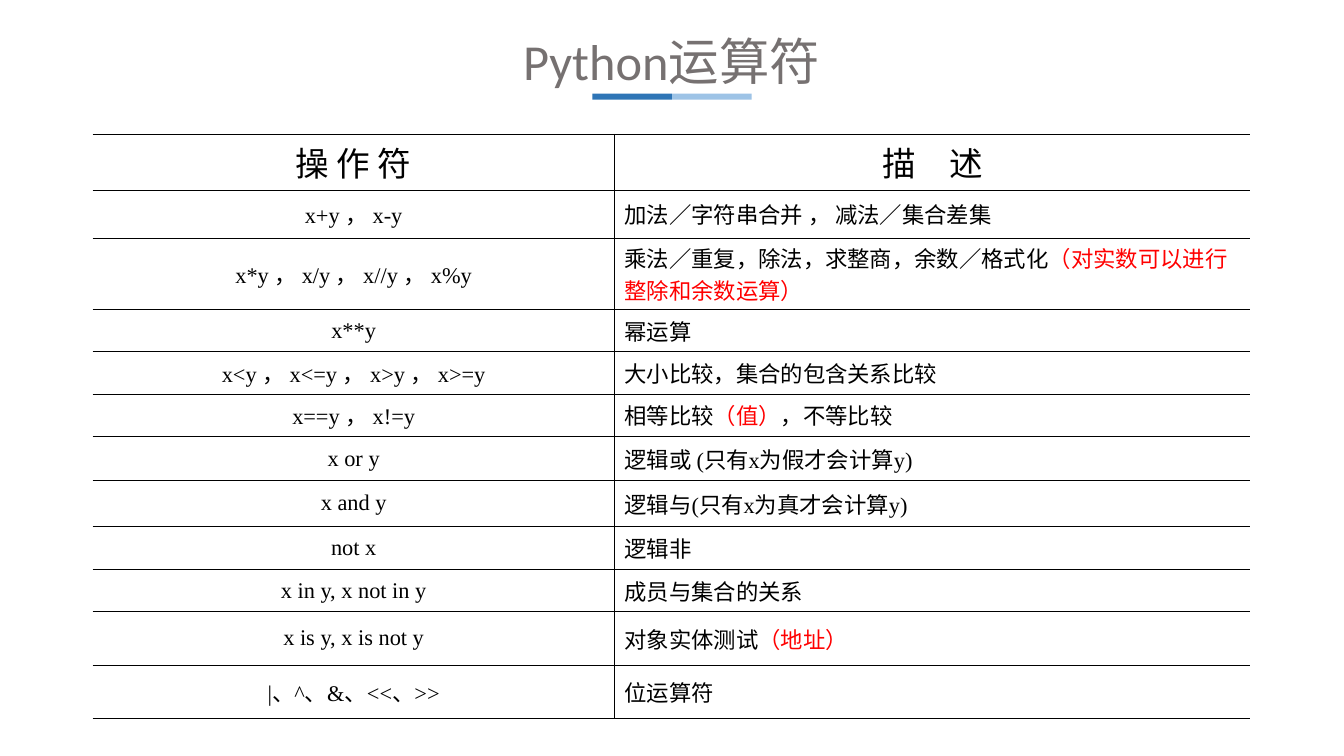
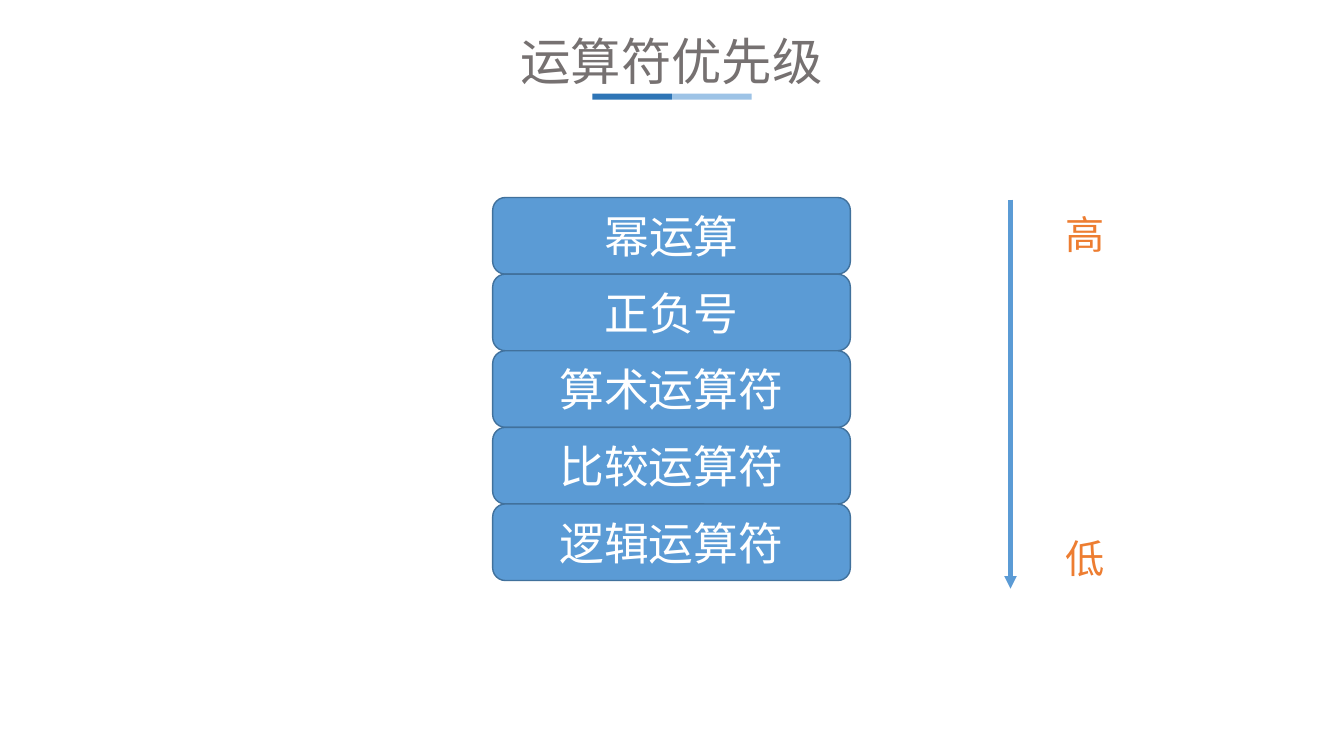
import pptx
import pptx.dml.color
import pptx.enum.shapes
import pptx.enum.text
import pptx.oxml
import pptx.oxml.ns
import pptx.util

Inches = pptx.util.Inches
Pt = pptx.util.Pt
SHAPE = pptx.enum.shapes.MSO_SHAPE
ANCHOR = pptx.enum.text.MSO_ANCHOR
ALIGN = pptx.enum.text.PP_ALIGN

COLORS = {
    "title": "767171", "bar_dark": "2E75B6", "bar_light": "9DC3E6",
    "black": "000000", "red": "FF0000", "white": "FFFFFF",
    "block": "5B9BD5", "outline": "41719C", "orange": "ED7D31",
}
SERIF, SANS, CJK = "Times New Roman", "Calibri", "Noto Sans CJK SC"

HEADERS = ["操 作 符", "描　述"]
# Row height, operators, description runs with their colours
OPERATORS = [
    (0.47, ["x+y", "x-y"], [("加法／字符串合并 ， 减法／集合差集", "black")]),
    (0.71, ["x*y", "x/y", "x//y", "x%y"],
     [("乘法／重复，除法，求整商，余数／格式化", "black"),
      ("（对实数可以进行整除和余数运算）", "red")]),
    (0.42, ["x**y"], [("幂运算", "black")]),
    (0.42, ["x<y", "x<=y", "x>y", "x>=y"],
     [("大小比较，集合的包含关系比较", "black")]),
    (0.42, ["x==y", "x!=y"],
     [("相等比较", "black"), ("（值）", "red"), ("，不等比较", "black")]),
    (0.44, ["x or y"], [("逻辑或 (只有x为假才会计算y)", "black")]),
    (0.45, ["x and y"], [("逻辑与(只有x为真才会计算y)", "black")]),
    (0.43, ["not x"], [("逻辑非", "black")]),
    (0.42, ["x in y, x not in y"], [("成员与集合的关系", "black")]),
    (0.53, ["x is y, x is not y"],
     [("对象实体测试", "black"), ("（地址）", "red")]),
    (0.53, ["|、^、&、<<、>>"], [("位运算符", "black")]),
]
HEADER_HEIGHT = 0.56
COLUMN_WIDTHS = [5.18, 6.31]

PRIORITIES = ["幂运算", "正负号", "算术运算符", "比较运算符", "逻辑运算符"]
SCALE_LABELS = [("高", 2.04), ("低", 5.25)]


def rgb(color):
    return pptx.dml.color.RGBColor.from_string(COLORS[color])


def add_xml(parent, tag, **attributes):
    child = pptx.oxml.parse_xml(f"<{tag} {pptx.oxml.ns.nsdecls('a')}/>")
    for name, value in attributes.items():
        child.set(name, str(value))
    parent.append(child)
    return child


def add_run(para, text, size, color, font):
    span = para.add_run()
    span.text = text
    span.font.size = Pt(size)
    span.font.name = font
    span.font.color.rgb = rgb(color)
    add_xml(span.font._element, "a:ea", typeface=CJK)


def add_block(shapes, kind, left, top, width, height, fill, outline=None):
    block = shapes.add_shape(kind, Inches(left), Inches(top),
                             Inches(width), Inches(height))
    block.shadow.inherit = False
    block.fill.solid()
    block.fill.fore_color.rgb = rgb(fill)
    if outline:
        block.line.color.rgb = rgb(outline)
        block.line.width = Pt(1)
    else:
        block.line.fill.background()
    return block


def add_titled_page(deck, text):
    """Add a slide with the centred title and its two-tone underline."""
    page = deck.slides.add_slide(deck.slide_layouts[5])
    title = page.shapes.title
    title.left, title.top = Inches(3.81), Inches(0)
    title.width, title.height = Inches(5.71), Inches(1)
    frame = title.text_frame
    frame.auto_size = pptx.enum.text.MSO_AUTO_SIZE.NONE
    frame.vertical_anchor = ANCHOR.BOTTOM
    frame.margin_bottom = Inches(0.1)
    para = frame.paragraphs[0]
    para.alignment = ALIGN.CENTER
    add_run(para, text, 36, "title", SANS)
    underline = page.shapes.add_group_shape()
    for index, color in enumerate(["bar_dark", "bar_light"]):
        add_block(underline.shapes, SHAPE.RECTANGLE,
                  5.88 + index * 0.79, 0.93, 0.79, 0.06, color)
    return page


def set_border(cell, side, points):
    line = add_xml(cell._tc.get_or_add_tcPr(), f"a:ln{side}",
                   w=int(Pt(points)))
    if points:
        add_xml(add_xml(line, "a:solidFill"), "a:srgbClr",
                val=COLORS["black"])
    else:
        add_xml(line, "a:noFill")


def format_cell(cell, column):
    """Rule the cell above, below and towards the other column only."""
    inner = 0.11
    sides = {"L": inner if column else 0, "R": 0 if column else inner,
             "T": 0.45, "B": 0.45}
    for side, points in sides.items():
        set_border(cell, side, points)
    cell.fill.background()
    cell.vertical_anchor = ANCHOR.MIDDLE
    cell.margin_top = cell.margin_bottom = Inches(0.03)
    return cell.text_frame.paragraphs[0]


def add_operator_table(page):
    heights = [HEADER_HEIGHT] + [row[0] for row in OPERATORS]
    table = page.shapes.add_table(
        len(heights), len(COLUMN_WIDTHS), Inches(0.92), Inches(1.33),
        Inches(sum(COLUMN_WIDTHS)), Inches(sum(heights))).table
    table.first_row = table.horz_banding = False
    for column, width in zip(table.columns, COLUMN_WIDTHS):
        column.width = Inches(width)
    for row, height in zip(table.rows, heights):
        row.height = Inches(height)

    for column, header in enumerate(HEADERS):
        para = format_cell(table.cell(0, column), column)
        para.alignment = ALIGN.CENTER
        add_run(para, header, 24, "black", SERIF)

    for row, (_, operators, description) in enumerate(OPERATORS, start=1):
        para = format_cell(table.cell(row, 0), 0)
        para.alignment = ALIGN.CENTER
        for operator in operators[:-1]:
            add_run(para, operator + " ", 16, "black", SERIF)
            add_run(para, "， ", 16, "black", CJK)
        add_run(para, operators[-1], 16, "black", SERIF)
        para = format_cell(table.cell(row, 1), 1)
        for text, color in description:
            add_run(para, text, 16, color, SERIF)


def add_priority_stack(page):
    height = 0.76
    for index, name in enumerate(PRIORITIES):
        block = add_block(page.shapes, SHAPE.ROUNDED_RECTANGLE, 4.89,
                          1.96 + index * height, 3.55, height,
                          "block", "outline")
        block.text_frame.vertical_anchor = ANCHOR.MIDDLE
        para = block.text_frame.paragraphs[0]
        para.alignment = ALIGN.CENTER
        add_run(para, name, 32, "white", CJK)


def add_priority_scale(page):
    for text, top in SCALE_LABELS:
        box = page.shapes.add_textbox(Inches(10.48), Inches(top),
                                      Inches(0.57), Inches(0.57))
        box.text_frame.word_wrap = False
        para = box.text_frame.paragraphs[0]
        para.alignment = ALIGN.CENTER
        add_run(para, text, 28, "orange", CJK)
    arrow = page.shapes.add_connector(
        pptx.enum.shapes.MSO_CONNECTOR.STRAIGHT,
        Inches(10.03), Inches(1.98), Inches(10.03), Inches(5.84))
    arrow.line.color.rgb = rgb("block")
    arrow.line.width = Pt(3)
    add_xml(arrow.line._get_or_add_ln(), "a:tailEnd", type="triangle")
    add_xml(arrow._element.spPr, "a:effectLst")


def main():
    deck = pptx.Presentation()
    deck.slide_width, deck.slide_height = Inches(13.34), Inches(7.5)
    add_operator_table(add_titled_page(deck, "Python运算符"))
    page = add_titled_page(deck, "运算符优先级")
    add_priority_stack(page)
    add_priority_scale(page)
    deck.save("out.pptx")


if __name__ == "__main__":
    main()
